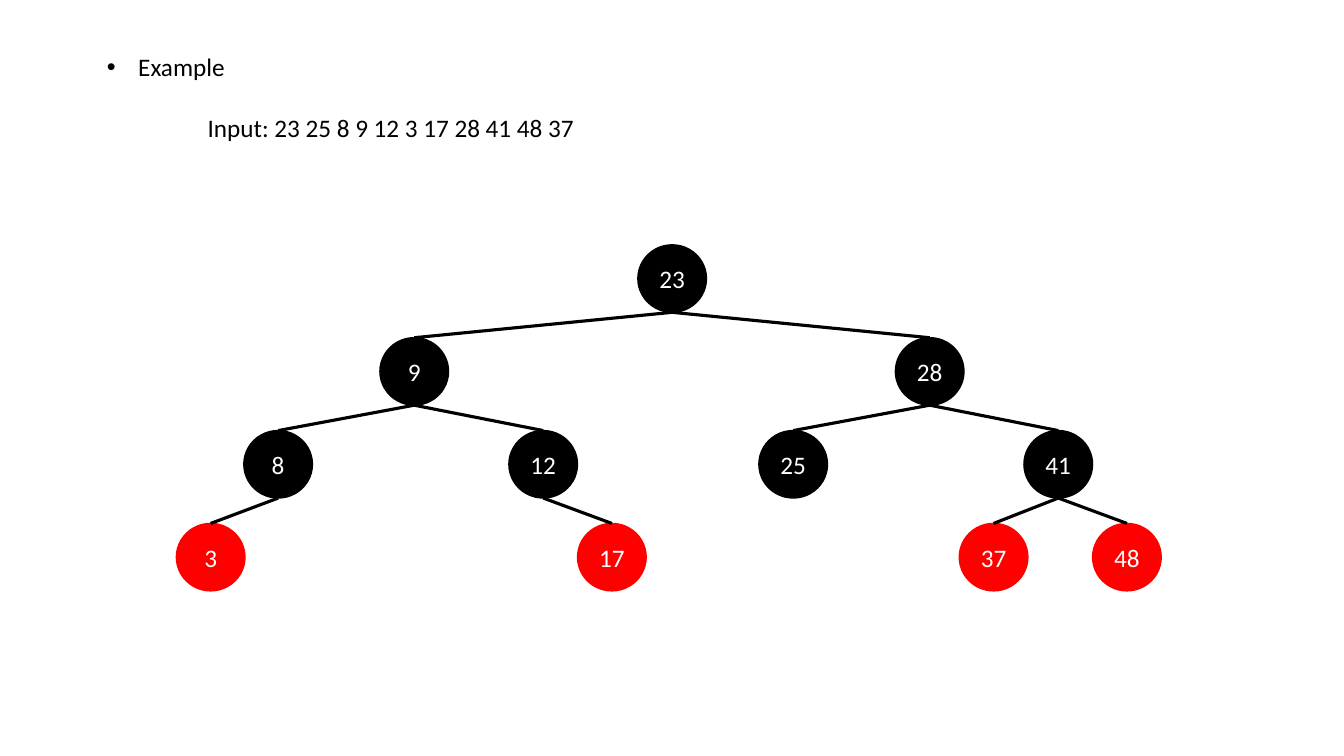
from lxml import etree
from pptx import Presentation
from pptx.dml.color import RGBColor
from pptx.enum.shapes import MSO_CONNECTOR, MSO_SHAPE
from pptx.enum.text import MSO_ANCHOR, MSO_AUTO_SIZE, PP_ALIGN
from pptx.oxml.ns import qn
from pptx.util import Cm, Pt

OVAL, LINE = MSO_SHAPE.OVAL, MSO_CONNECTOR.STRAIGHT
MIDDLE, CENTER, LEFT = MSO_ANCHOR.MIDDLE, PP_ALIGN.CENTER, PP_ALIGN.LEFT
FIT = MSO_AUTO_SIZE.SHAPE_TO_FIT_TEXT

# Content: text lines as (text, left margin, first indent, space before, bullet)
LINES = [
    ("Example", 0.79, -0.79, 0, "•"),
    ("Input: 23 25 8 9 12 3 17 28 41 48 37", 2.54, 0, 22, None),
]
# Tree nodes, parents first: (key, parent, level, centre in cm, colour)
NODES = [
    (23, None, 0, 16.94, "black"),
    (9, 23, 1, 10.44, "black"),
    (28, 23, 1, 23.43, "black"),
    (8, 9, 2, 7.01, "black"),
    (12, 9, 2, 13.69, "black"),
    (25, 28, 2, 19.99, "black"),
    (41, 28, 2, 26.67, "black"),
    (3, 8, 3, 5.31, "red"),
    (17, 12, 3, 15.42, "red"),
    (37, 41, 3, 25.04, "red"),
    (48, 41, 3, 28.4, "red"),
]
COLORS = {"black": "000000", "red": "FF0000", "white": "FFFFFF"}
FONT, SIZE = "Calibri", 18
WIDTH, HEIGHT = 1.73, 1.7
TOP, STEP = 6.17, 2.34


def color(name):
    return RGBColor.from_string(COLORS[name])


def style(para, name, align):
    para.alignment = align
    for run in para.runs:
        run.font.name, run.font.size = FONT, Pt(SIZE)
        run.font.color.rgb = color(name)


def add_text(slide):
    body = slide.placeholders[1]
    body.left, body.top = Cm(2.44), Cm(1.17)
    body.width, body.height = Cm(16.94), Cm(2.57)
    frame = body.text_frame
    frame.auto_size = FIT
    frame.text = "\n".join(line[0] for line in LINES)
    for para, (_, margin, indent, gap, mark) in zip(frame.paragraphs, LINES):
        style(para, "black", LEFT)
        para.space_before = Pt(gap)
        props = para._p.get_or_add_pPr()
        props.set("marL", str(Cm(margin)))
        props.set("indent", str(Cm(indent)))
        if mark:
            etree.SubElement(props, qn("a:buChar")).set("char", mark)
        else:
            etree.SubElement(props, qn("a:buNone"))


def add_node(slide, key, level, center, name):
    node = slide.shapes.add_shape(
        OVAL, Cm(center - WIDTH / 2), Cm(TOP + level * STEP), Cm(WIDTH), Cm(HEIGHT))
    node.shadow.inherit = False
    node.fill.solid()
    node.fill.fore_color.rgb = color(name)
    node.line.color.rgb = color(name)
    node.line.width = Pt(1)
    frame = node.text_frame
    frame.text = str(key)
    frame.vertical_anchor = MIDDLE
    frame.margin_left = frame.margin_right = 0
    style(frame.paragraphs[0], "white", CENTER)
    return node


def add_edge(slide, parent, child):
    edge = slide.shapes.add_connector(
        LINE, parent.left + parent.width // 2, parent.top + parent.height,
        child.left + child.width // 2, child.top)
    edge.end_connect(child, 0)
    edge.line.color.rgb = color("black")
    edge.line.width = Pt(2.25)
    etree.SubElement(edge._element.spPr, qn("a:effectLst"))


def main():
    deck = Presentation()
    deck.slide_width, deck.slide_height = Cm(33.87), Cm(19.05)
    slide = deck.slides.add_slide(deck.slide_layouts[1])

    # Heading text; the slide has no title
    title = slide.shapes.title._element
    title.getparent().remove(title)
    add_text(slide)

    # Tree
    nodes = {}
    for key, parent, level, center, name in NODES:
        nodes[key] = add_node(slide, key, level, center, name)
        if parent is not None:
            add_edge(slide, nodes[parent], nodes[key])

    deck.save("out.pptx")


if __name__ == "__main__":
    main()
